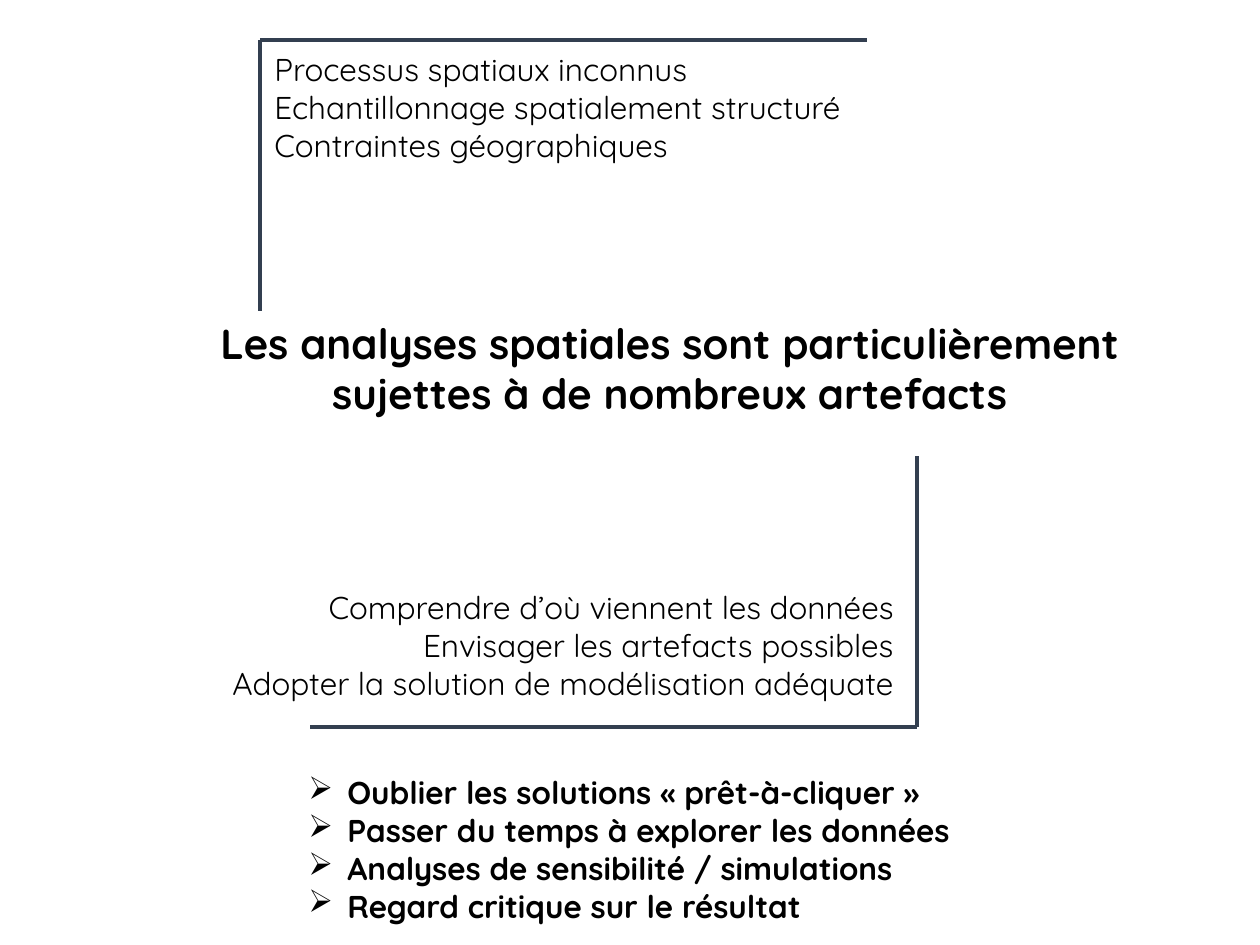
"""Build a slide on spatial analysis artefacts, their causes and the ways to respond."""
from dataclasses import dataclass

from lxml.etree import SubElement
from pptx import Presentation
from pptx.dml.color import RGBColor
from pptx.enum.shapes import MSO_CONNECTOR
from pptx.enum.text import MSO_AUTO_SIZE, PP_ALIGN
from pptx.oxml.ns import qn
from pptx.util import Emu, Pt


@dataclass(frozen=True)
class Theme:
    font: str = "Quicksand"
    ink: RGBColor = RGBColor(0, 0, 0)
    rule: RGBColor = RGBColor(0x33, 0x3F, 0x50)
    title_size: float = 24
    body_size: float = 18
    rule_width: float = 2.25


THEME = Theme()
SLIDE_SIZE = (1260, 945)
BULLET = "➢"
BULLET_INDENT = 39

TITLE = ["Les analyses spatiales sont particulièrement sujettes à de nombreux artefacts"]
CAUSES = [
    "Processus spatiaux inconnus",
    "Echantillonnage spatialement structuré",
    "Contraintes géographiques",
]
RESPONSES = [
    "Comprendre d’où viennent les données",
    "Envisager les artefacts possibles",
    "Adopter la solution de modélisation adéquate",
]
ACTIONS = [
    "Oublier les solutions « prêt-à-cliquer »",
    "Passer du temps à explorer les données",
    "Analyses de sensibilité / simulations",
    "Regard critique sur le résultat",
]

TEXTS = [
    dict(lines=TITLE, at=(188, 311, 963, 115), align=PP_ALIGN.CENTER,
         size=THEME.title_size, bold=True),
    dict(lines=CAUSES, at=(262, 44, 630, 127)),
    dict(lines=RESPONSES, at=(158, 582, 748, 127), align=PP_ALIGN.RIGHT),
    dict(lines=ACTIONS, at=(296, 767, 748, 165), bold=True, bulleted=True),
]

BRACKET_WIDTH, BRACKET_HEIGHT = 607, 271
BRACKETS = [((260, 40), 1), ((917, 727), -1)]


def px(length):
    return Emu(round(length * 914400 / 126))


def add_bullet(para):
    properties = para._p.get_or_add_pPr()
    properties.set("marL", str(px(BULLET_INDENT)))
    properties.set("indent", str(px(-BULLET_INDENT)))
    SubElement(properties, qn("a:buChar")).set("char", BULLET)


def add_text(page, lines, at, align=PP_ALIGN.LEFT, size=THEME.body_size,
             bold=False, bulleted=False):
    box = page.shapes.add_textbox(*map(px, at))
    frame = box.text_frame
    frame.word_wrap = True
    frame.auto_size = MSO_AUTO_SIZE.SHAPE_TO_FIT_TEXT
    frame.text = "\n".join(lines)
    for para in frame.paragraphs:
        para.alignment = align
        if bulleted:
            add_bullet(para)
        for span in para.runs:
            span.font.name = THEME.font
            span.font.size = Pt(size)
            span.font.bold = bold
            span.font.color.rgb = THEME.ink


def add_rule(page, start, end):
    rule = page.shapes.add_connector(MSO_CONNECTOR.STRAIGHT, *map(px, start + end))
    rule.line.color.rgb = THEME.rule
    rule.line.width = Pt(THEME.rule_width)
    SubElement(rule._element.spPr, qn("a:effectLst"))


def add_bracket(page, corner, direction):
    x, y = corner
    add_rule(page, corner, (x, y + direction * BRACKET_HEIGHT))
    add_rule(page, corner, (x + direction * BRACKET_WIDTH, y))


def main():
    deck = Presentation()
    deck.slide_width, deck.slide_height = map(px, SLIDE_SIZE)
    page = deck.slides.add_slide(deck.slide_layouts[6])
    for text in TEXTS:
        add_text(page, **text)
    for corner, direction in BRACKETS:
        add_bracket(page, corner, direction)
    deck.save("out.pptx")


if __name__ == "__main__":
    main()
